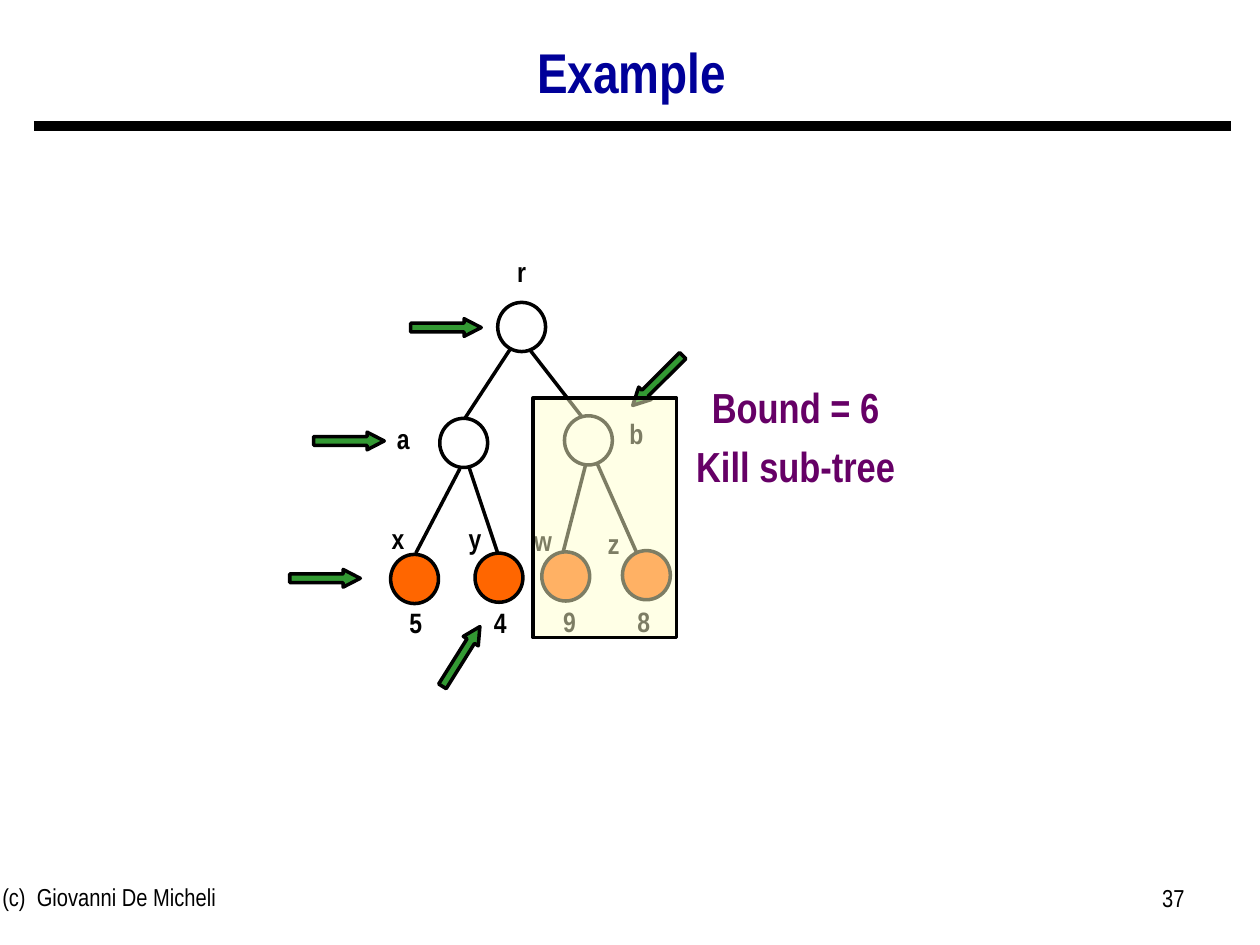
import pptx
import pptx.util
import pptx.dml.color
import pptx.enum.shapes
import pptx.enum.text
import pptx.oxml
import pptx.oxml.ns
import lxml.etree

Inches = pptx.util.Inches
Pt = pptx.util.Pt
SHAPES = pptx.enum.shapes.MSO_SHAPE
ALIGN = pptx.enum.text.PP_ALIGN
ANCHOR = pptx.enum.text.MSO_ANCHOR

FONT = "Arial Narrow"
COLORS = {
    "black": "000000", "title": "000099", "note": "660066",
    "leaf": "FF6600", "arrow": "339933", "veil": "FFFFCC",
}

# Content: tree nodes (left, top, fill), edges (from, to), labels (text, left, top)
NODE_SIZE = (0.38, 0.39)
NODES = [
    (3.95, 2.4, None), (3.49, 3.32, None), (4.48, 3.3, None),
    (3.1, 4.4, "leaf"), (3.77, 4.39, "leaf"), (4.3, 4.38, "leaf"), (4.94, 4.37, "leaf"),
]
EDGES = [
    ((4.05, 2.77), (3.69, 3.32)), ((4.2, 2.77), (4.62, 3.31)),
    ((3.65, 3.72), (3.3, 4.39)), ((3.72, 3.7), (3.95, 4.39)),
    ((4.65, 3.68), (4.47, 4.38)), ((4.74, 3.68), (5.05, 4.38)),
]
LABEL_SIZE = (0.9, 0.37)
LABELS = [
    ("r", 3.69, 1.97), ("a", 2.75, 3.3), ("b", 4.6, 3.26),
    ("x", 2.71, 4.09), ("y", 3.32, 4.09), ("w", 3.86, 4.11), ("z", 4.42, 4.13),
    ("5", 2.85, 4.76), ("4", 3.52, 4.76), ("9", 4.07, 4.75), ("8", 4.66, 4.75),
]
# Arrows that mark the visiting steps (left, top, rotation)
ARROW_SIZE = (0.56, 0.14)
ARROWS = [
    (3.26, 2.53, 0), (2.49, 3.43, 0), (2.3, 4.52, 0),
    (3.38, 5.14, 302.1), (4.94, 2.95, 135.1),
]
NOTES = ["Bound = 6", "Kill sub-tree"]


def rgb(name):
    return pptx.dml.color.RGBColor.from_string(COLORS[name])


def write_text(shape, lines, size, color="black", bold=False, align=ALIGN.LEFT,
               anchor=ANCHOR.TOP, line_spacing=None, gap=0):
    frame = shape.text_frame
    frame.word_wrap = True
    frame.vertical_anchor = anchor
    frame.margin_left = frame.margin_right = Inches(0.1)
    frame.margin_top = frame.margin_bottom = Inches(0.05)
    for index, line in enumerate(lines):
        paragraph = frame.add_paragraph() if index else frame.paragraphs[0]
        paragraph.alignment = align
        paragraph.space_before = Pt(gap if index else 0)
        if line_spacing:
            paragraph.line_spacing = line_spacing
        run = paragraph.add_run()
        run.text = line
        run.font.name = FONT
        run.font.size = Pt(size)
        run.font.bold = bold
        run.font.color.rgb = rgb(color)


def add_text(slide, lines, left, top, width, height, **text_format):
    box = slide.shapes.add_textbox(*map(Inches, (left, top, width, height)))
    write_text(box, lines, **text_format)


def add_line(slide, start, end, width=2):
    connector = slide.shapes.add_connector(
        pptx.enum.shapes.MSO_CONNECTOR.STRAIGHT, *map(Inches, start + end))
    connector.line.color.rgb = rgb("black")
    connector.line.width = Pt(width)
    lxml.etree.SubElement(connector._element.spPr, pptx.oxml.ns.qn("a:effectLst"))


def add_figure(slide, kind, left, top, size, fill=None):
    shape = slide.shapes.add_shape(kind, *map(Inches, (left, top) + size))
    shape.shadow.inherit = False
    shape.line.color.rgb = rgb("black")
    shape.line.width = Pt(2)
    if fill:
        shape.fill.solid()
        shape.fill.fore_color.rgb = rgb(fill)
    else:
        shape.fill.background()
    return shape


def main():
    presentation = pptx.Presentation()
    presentation.slide_width, presentation.slide_height = Inches(10), Inches(7.5)
    slide = presentation.slides.add_slide(presentation.slide_layouts[5])

    # Title, rule and footer
    title = slide.shapes.title
    title.left, title.top, title.width, title.height = map(Inches, (0.26, 0.22, 9.51, 0.75))
    write_text(title, ["Example"], size=32, color="title", bold=True,
               align=ALIGN.CENTER, anchor=ANCHOR.MIDDLE, line_spacing=0.9)
    add_line(slide, (0.27, 1), (9.77, 1), width=6)
    add_text(slide, ["(c)  Giovanni De Micheli"], -0.08, 6.95, 3.17, 0.52, size=14)
    add_text(slide, ["37"], 7.17, 6.96, 2.33, 0.52, size=14, align=ALIGN.RIGHT)

    # Tree
    for start, end in EDGES:
        add_line(slide, start, end)
    for left, top, fill in NODES:
        add_figure(slide, SHAPES.OVAL, left, top, NODE_SIZE, fill)
    for label, left, top in LABELS:
        add_text(slide, [label], left, top, *LABEL_SIZE, size=16, bold=True,
                 align=ALIGN.CENTER)

    # Bound note
    add_text(slide, NOTES, 5.03, 3.07, 2.57, 0.9, size=24, color="note", bold=True,
             align=ALIGN.CENTER, line_spacing=0.75, gap=12)

    # Step arrows
    for left, top, rotation in ARROWS:
        arrow = add_figure(slide, SHAPES.RIGHT_ARROW, left, top, ARROW_SIZE, "arrow")
        arrow.adjustments[0], arrow.adjustments[1] = 0.5, 0.97
        arrow.rotation = rotation

    # Translucent veil over the killed sub-tree
    veil = add_figure(slide, SHAPES.RECTANGLE, 4.23, 3.16, (1.14, 1.9), "veil")
    color = veil._element.spPr.find(
        pptx.oxml.ns.qn("a:solidFill")).find(pptx.oxml.ns.qn("a:srgbClr"))
    lxml.etree.SubElement(color, pptx.oxml.ns.qn("a:alpha"), val="49000")

    presentation.save("out.pptx")


if __name__ == "__main__":
    main()
